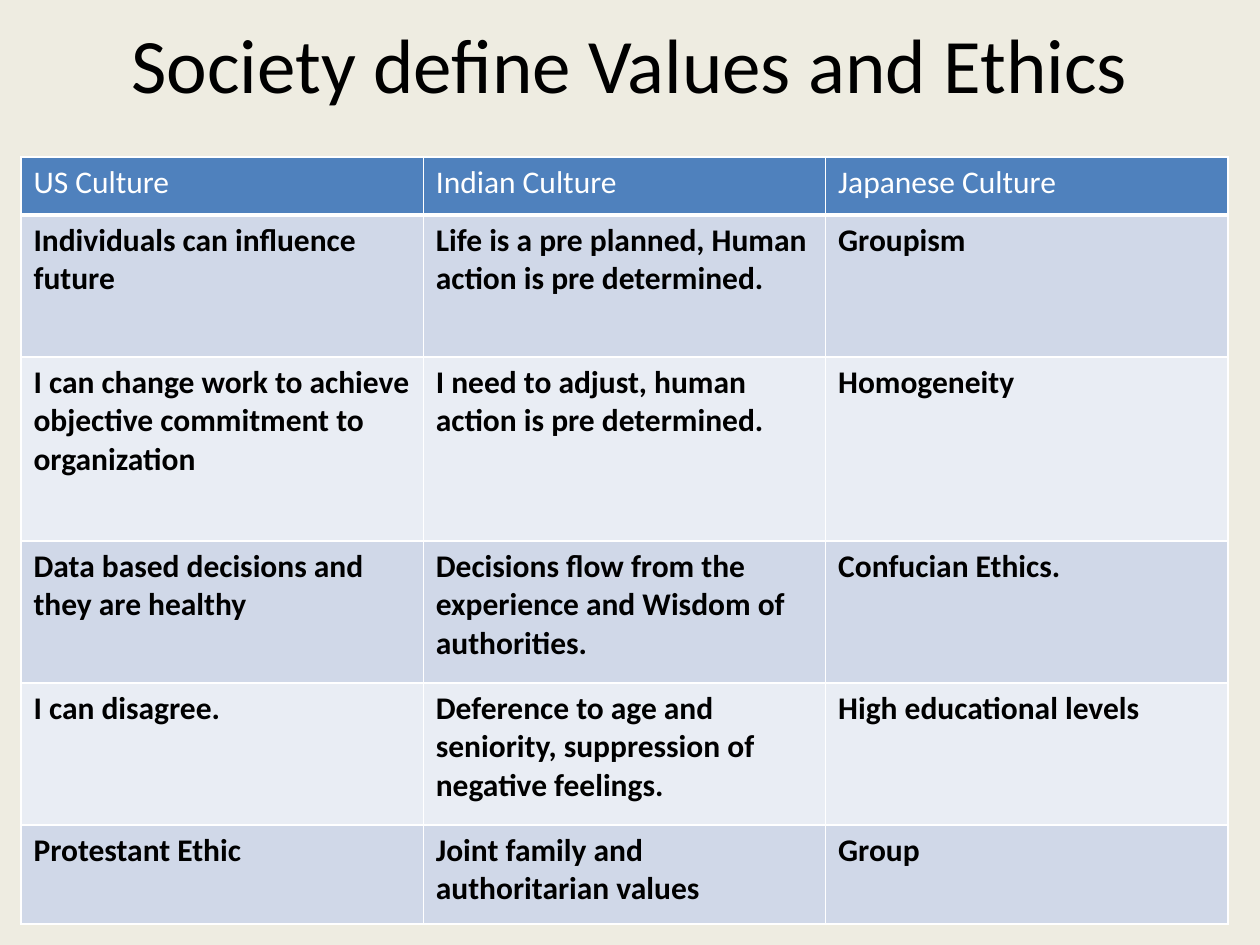
from lxml.etree import SubElement
from pptx import Presentation
from pptx.dml.color import RGBColor
from pptx.enum.text import MSO_ANCHOR, PP_ALIGN
from pptx.oxml.ns import qn
from pptx.util import Emu, Pt

FONT = "Calibri"
HEADER_FILL = "4F81BD"
BAND_FILLS = ("E9EDF4", "D0D8E8")
ROW_HEIGHTS = (58, 142, 184, 142, 142, 99)
CULTURES = (
    ("US Culture", "Indian Culture", "Japanese Culture"),
    ("Individuals can influence future",
     "Life is a pre planned, Human action is pre determined.",
     "Groupism"),
    ("I can change work to achieve objective commitment to organization",
     "I need to adjust, human action is pre determined.",
     "Homogeneity"),
    ("Data based decisions and they are healthy",
     "Decisions flow from the experience and Wisdom of authorities.",
     "Confucian Ethics."),
    ("I can disagree.",
     "Deference to age and seniority, suppression of negative feelings.",
     "High educational levels"),
    ("Protestant Ethic",
     "Joint family and authoritarian values",
     "Group"),
)


def px(n):
    """Turn pixels at 126 to the inch into EMU."""
    return Emu(round(n * 914400 / 126))


def rgb(value):
    """Turn a hex string into a colour."""
    return RGBColor.from_string(value)


def style(p, size, color, bold=False):
    """Format every run of a paragraph."""
    for r in p.runs:
        r.font.name = FONT
        r.font.size = Pt(size)
        r.font.bold = bold
        r.font.color.rgb = rgb(color)


def add_borders(cell, bottom):
    """Draw white borders of 1 pt, with a chosen width at the bottom."""
    tc_pr = cell._tc.get_or_add_tcPr()
    for side, width in (("L", 1), ("R", 1), ("T", 1), ("B", bottom)):
        ln = SubElement(tc_pr, qn(f"a:ln{side}"), w=str(Pt(width)))
        fill = SubElement(ln, qn("a:solidFill"))
        SubElement(fill, qn("a:srgbClr"), val="FFFFFF")


def add_title(s, x, y, w, h):
    """Place the centred slide title in the given box."""
    tf = s.shapes.add_textbox(px(x), px(y), px(w), px(h)).text_frame
    tf.word_wrap = True
    tf.vertical_anchor = MSO_ANCHOR.MIDDLE
    tf.text = "Society define Values and Ethics"
    p = tf.paragraphs[0]
    p.alignment = PP_ALIGN.CENTER
    style(p, 44, "000000")


def add_culture_table(s, x, y, w, h):
    """Fill the given box with the banded comparison of cultures."""
    frame = s.shapes.add_table(len(CULTURES), len(CULTURES[0]),
                               px(x), px(y), px(w), px(h))
    table = frame.table
    for column in table.columns:
        column.width = px(w / len(CULTURES[0]))
    for i, (texts, height) in enumerate(zip(CULTURES, ROW_HEIGHTS)):
        header = i == 0
        table.rows[i].height = px(height)
        for cell, text in zip(table.rows[i].cells, texts):
            cell.text = text
            style(cell.text_frame.paragraphs[0], 18,
                  "FFFFFF" if header else "000000", bold=not header)
            add_borders(cell, bottom=3 if header else 1)
            cell.fill.solid()
            cell.fill.fore_color.rgb = rgb(HEADER_FILL if header else BAND_FILLS[i % 2])


def main():
    """Build the slide and save it."""
    prs = Presentation()
    prs.slide_width, prs.slide_height = px(1260), px(945)
    s = prs.slides.add_slide(prs.slide_layouts[6])
    s.background.fill.solid()
    s.background.fill.fore_color.rgb = rgb("EEECE1")
    add_title(s, 63, 0, 1134, 126)
    add_culture_table(s, 21, 157, 1207, sum(ROW_HEIGHTS))
    prs.save("out.pptx")


if __name__ == "__main__":
    main()
